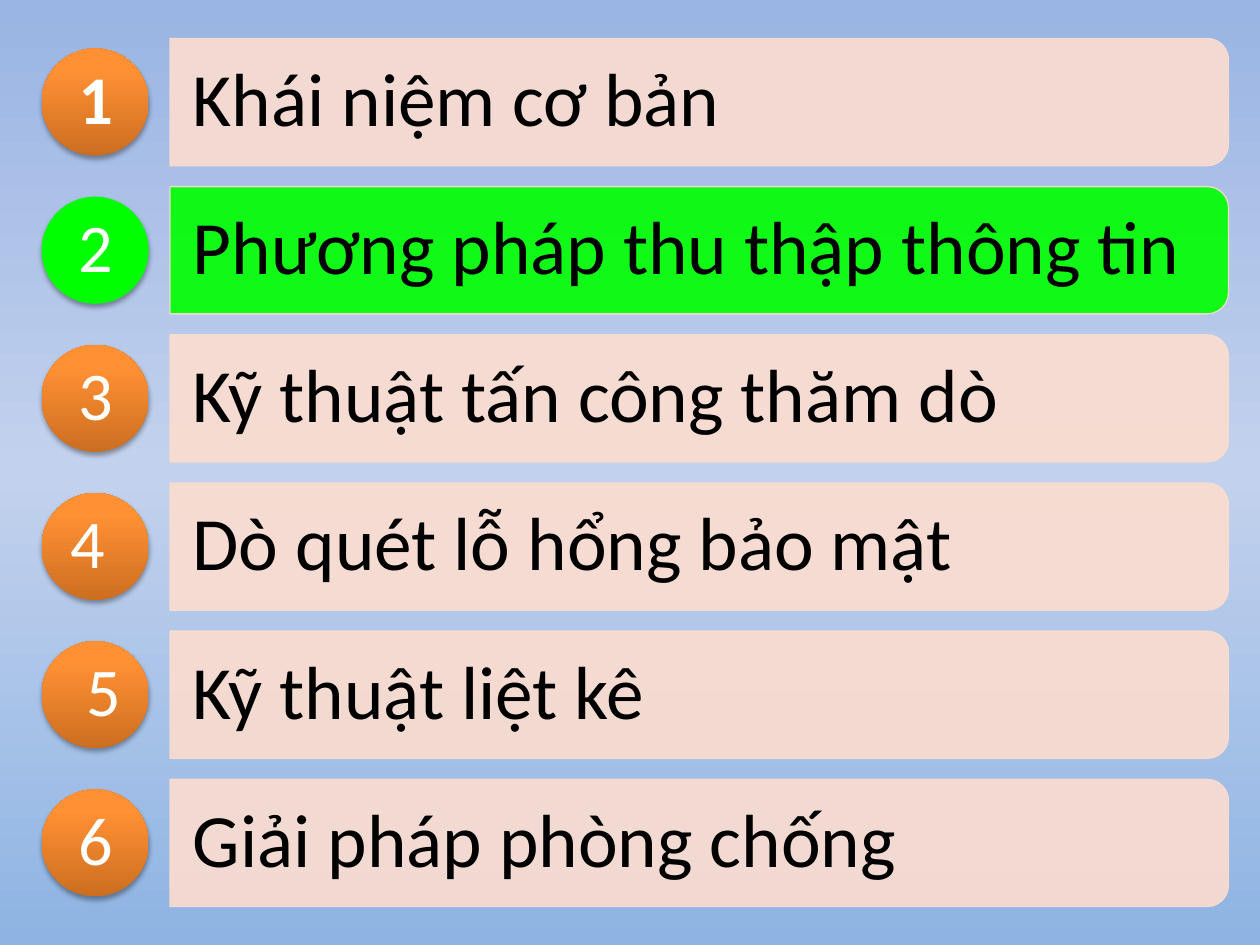
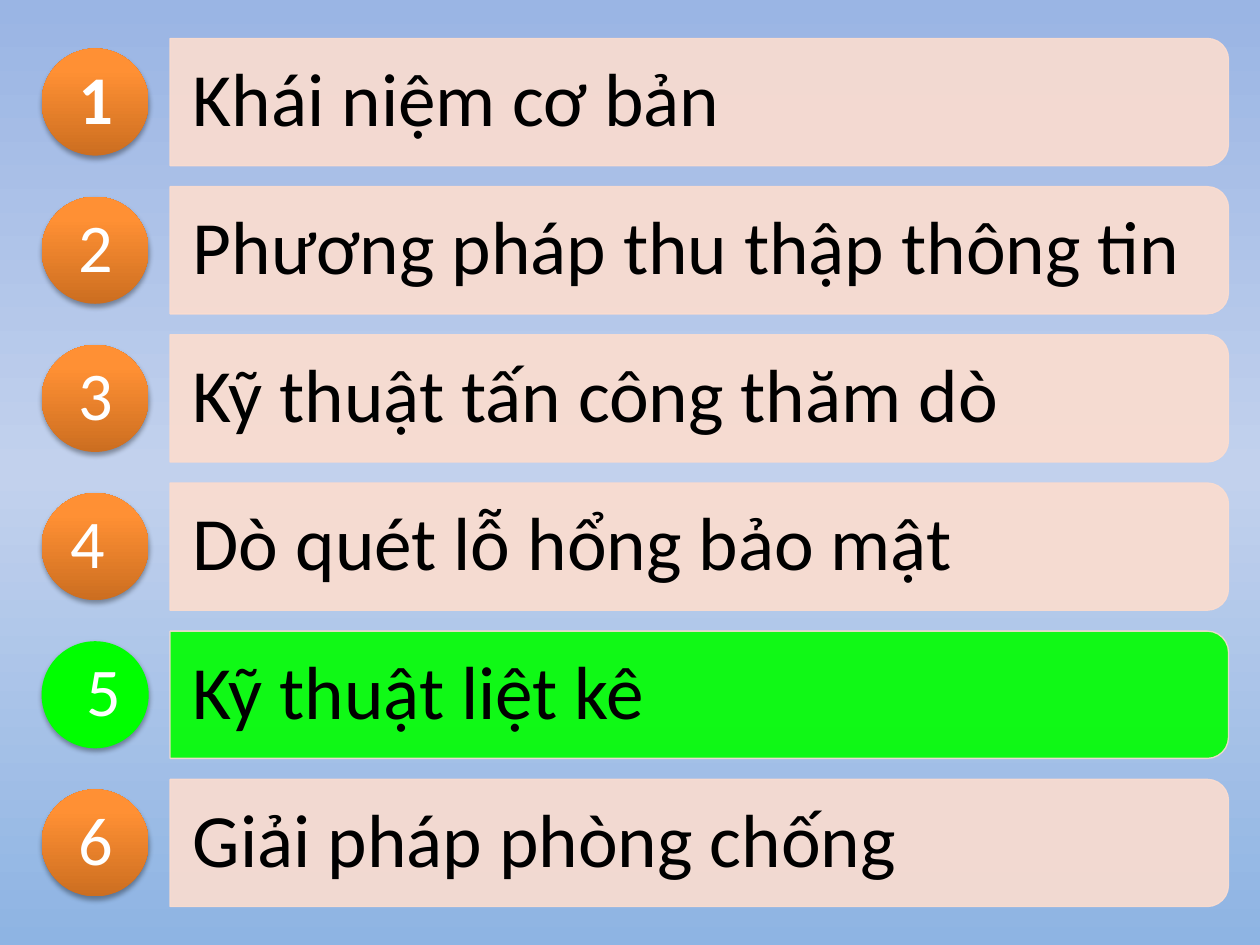
from lxml import etree
from pptx import Presentation
from pptx.dml.color import RGBColor
from pptx.enum.shapes import MSO_SHAPE
from pptx.enum.text import MSO_ANCHOR, PP_ALIGN
from pptx.oxml.ns import qn
from pptx.util import Inches, Pt

BAR_SHAPE = MSO_SHAPE.ROUND_2_SAME_RECTANGLE
CIRCLE_SHAPE = MSO_SHAPE.OVAL
MIDDLE = MSO_ANCHOR.MIDDLE
LEFT, CENTER = PP_ALIGN.LEFT, PP_ALIGN.CENTER

FONT = "Calibri"
BLACK = RGBColor(0x00, 0x00, 0x00)
WHITE = RGBColor(0xFF, 0xFF, 0xFF)
PEACH = RGBColor(0xFC, 0xDD, 0xCF)
GREEN = RGBColor(0x00, 0xFF, 0x00)
SKY_STOPS = [(0, RGBColor(0x9A, 0xB5, 0xE4)),
             (50, RGBColor(0xC2, 0xD1, 0xED)),
             (100, RGBColor(0x8E, 0xB4, 0xE3))]
ORANGE_STOPS = [(0, RGBColor(0xCC, 0x6E, 0x20)),
                (80, RGBColor(0xFF, 0x90, 0x34)),
                (100, RGBColor(0xFF, 0x91, 0x36))]

FIRST_ROW_MIDDLE = 0.81
ROW_PITCH = 5.88 / 5
BAR_LEFT, BAR_LENGTH, BAR_THICKNESS = 1.35, 8.4, 1.01
LABEL_WIDTH, LABEL_HEIGHT = 8.35, 0.91
CIRCLE_LEFT, CIRCLE_SIZE = 0.33, 0.85
NUMBER_LEFT, NUMBER_SIZE = 0.46, 0.6

AGENDA = [
    ("1", "Khái niệm cơ bản"),
    ("2", "Phương pháp thu thập thông tin"),
    ("3", "Kỹ thuật tấn công thăm dò"),
    ("4 ", "Dò quét lỗ hổng bảo mật"),
    (" 5", "Kỹ thuật liệt kê"),
    ("6", "Giải pháp phòng chống"),
]
CURRENT_ROWS = [1, 4]


def add_color(parent, color, opacity=100):
    element = etree.SubElement(parent, qn("a:srgbClr"), val=str(color))
    if opacity < 100:
        etree.SubElement(element, qn("a:alpha"), val=str(opacity * 1000))


def set_gradient(fill, owner, stops, angle):
    """Fill with several stops; the angle runs counter-clockwise."""
    fill.gradient()
    fill.gradient_angle = angle
    stop_list = owner.element.find(".//" + qn("a:gsLst"))
    for stop in list(stop_list):
        stop_list.remove(stop)
    for position, color in stops:
        stop = etree.SubElement(stop_list, qn("a:gs"), pos=str(position * 1000))
        add_color(stop, color)


class AgendaDeck:
    def __init__(self):
        self.presentation = Presentation()
        self.presentation.slide_width = Inches(10)
        self.presentation.slide_height = Inches(7.5)
        master = self.presentation.slide_master
        set_gradient(master.background.fill, master, SKY_STOPS, 270)
        self.slide = None

    def add_slide(self):
        blank_layout = self.presentation.slide_layouts[6]
        self.slide = self.presentation.slides.add_slide(blank_layout)

    def add_bar(self, middle, color):
        """Add a bar turned so that its rounded corners face right."""
        left = BAR_LEFT + (BAR_LENGTH - BAR_THICKNESS) / 2
        bar = self.slide.shapes.add_shape(
            BAR_SHAPE, Inches(left), Inches(middle - BAR_LENGTH / 2),
            Inches(BAR_THICKNESS), Inches(BAR_LENGTH))
        bar.rotation = 90
        bar.shadow.inherit = False
        bar.fill.solid()
        bar.fill.fore_color.rgb = color
        bar.line.color.rgb = PEACH
        bar.line.width = Pt(0.75)
        for color_element in bar.element.spPr.iter(qn("a:srgbClr")):
            etree.SubElement(color_element, qn("a:alpha"), val="90000")

    def add_circle(self, middle, is_current):
        circle = self.slide.shapes.add_shape(
            CIRCLE_SHAPE, Inches(CIRCLE_LEFT), Inches(middle - CIRCLE_SIZE / 2),
            Inches(CIRCLE_SIZE), Inches(CIRCLE_SIZE))
        circle.line.fill.background()
        if is_current:
            circle.fill.solid()
            circle.fill.fore_color.rgb = GREEN
        else:
            set_gradient(circle.fill, circle, ORANGE_STOPS, 90)
        circle.shadow.inherit = False
        effects = circle.element.spPr.find(qn("a:effectLst"))
        shadow = etree.SubElement(
            effects, qn("a:outerShdw"), blurRad=str(Pt(3.1)), dist=str(Pt(1.8)),
            dir="5400000", rotWithShape="0")
        add_color(shadow, BLACK, 35)

    def add_text(self, text, left, middle, width, height, size, color,
                 alignment=LEFT, bold=False, insets=(0, 0)):
        box = self.slide.shapes.add_textbox(
            Inches(left), Inches(middle - height / 2), Inches(width), Inches(height))
        frame = box.text_frame
        frame.word_wrap = True
        frame.vertical_anchor = MIDDLE
        frame.margin_left = frame.margin_right = Inches(insets[0])
        frame.margin_top = frame.margin_bottom = Inches(insets[1])
        frame.text = text
        paragraph = frame.paragraphs[0]
        paragraph.alignment = alignment
        paragraph.line_spacing = 0.9
        font = paragraph.runs[0].font
        font.name = FONT
        font.size = Pt(size)
        font.bold = bold
        font.color.rgb = color

    def add_agenda(self, current_row):
        self.add_slide()
        for row, (number, label) in enumerate(AGENDA):
            middle = FIRST_ROW_MIDDLE + row * ROW_PITCH
            is_current = row == current_row
            self.add_bar(middle, GREEN if is_current else PEACH)
            self.add_text(label, BAR_LEFT, middle, LABEL_WIDTH, LABEL_HEIGHT,
                          43, BLACK, insets=(0.18, 0.12))
            self.add_circle(middle, is_current)
            self.add_text(number, NUMBER_LEFT, middle, NUMBER_SIZE, NUMBER_SIZE,
                          39, WHITE, CENTER, bold=row == 0)


def main():
    deck = AgendaDeck()
    for current_row in CURRENT_ROWS:
        deck.add_agenda(current_row)
    deck.presentation.save("out.pptx")


if __name__ == "__main__":
    main()
